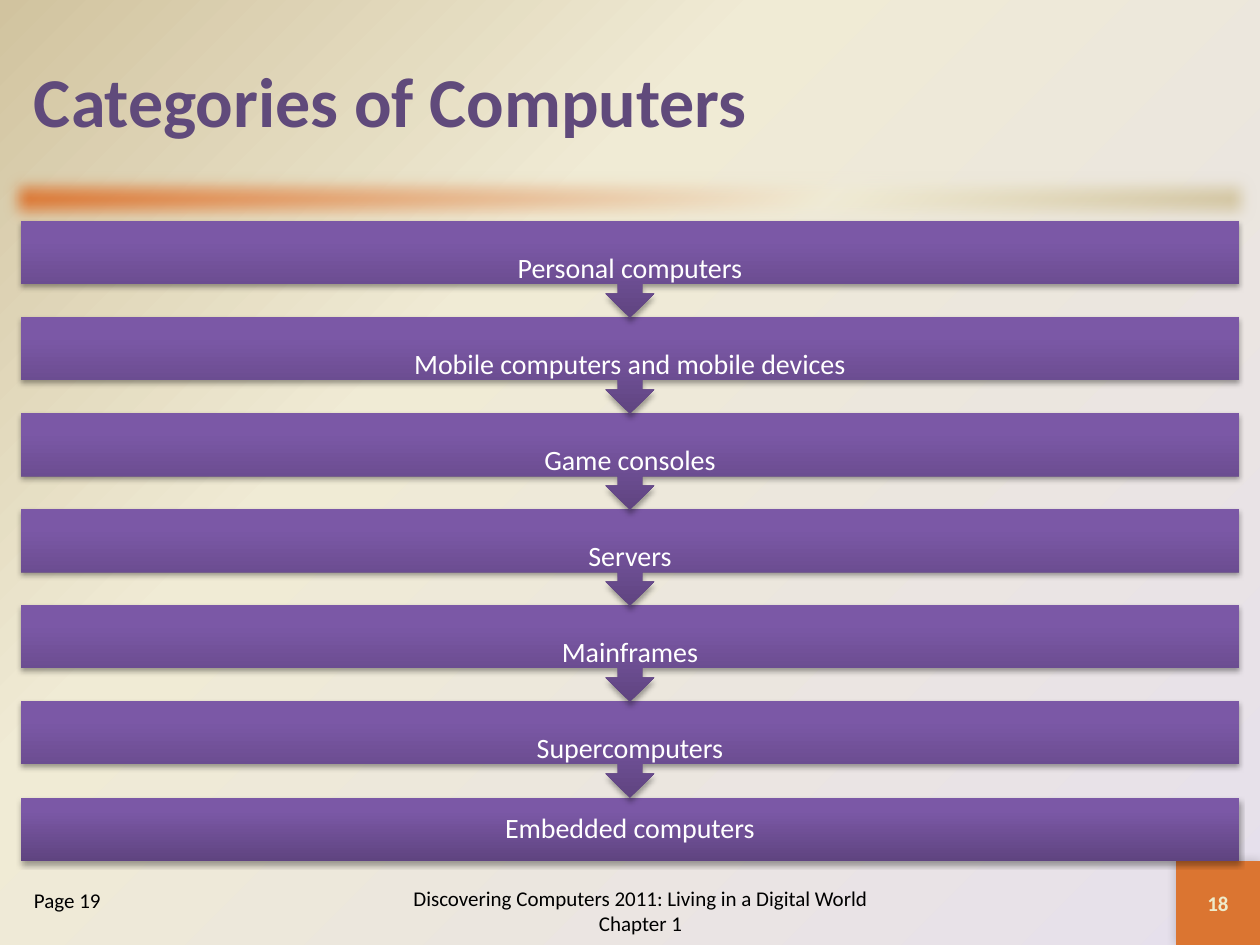
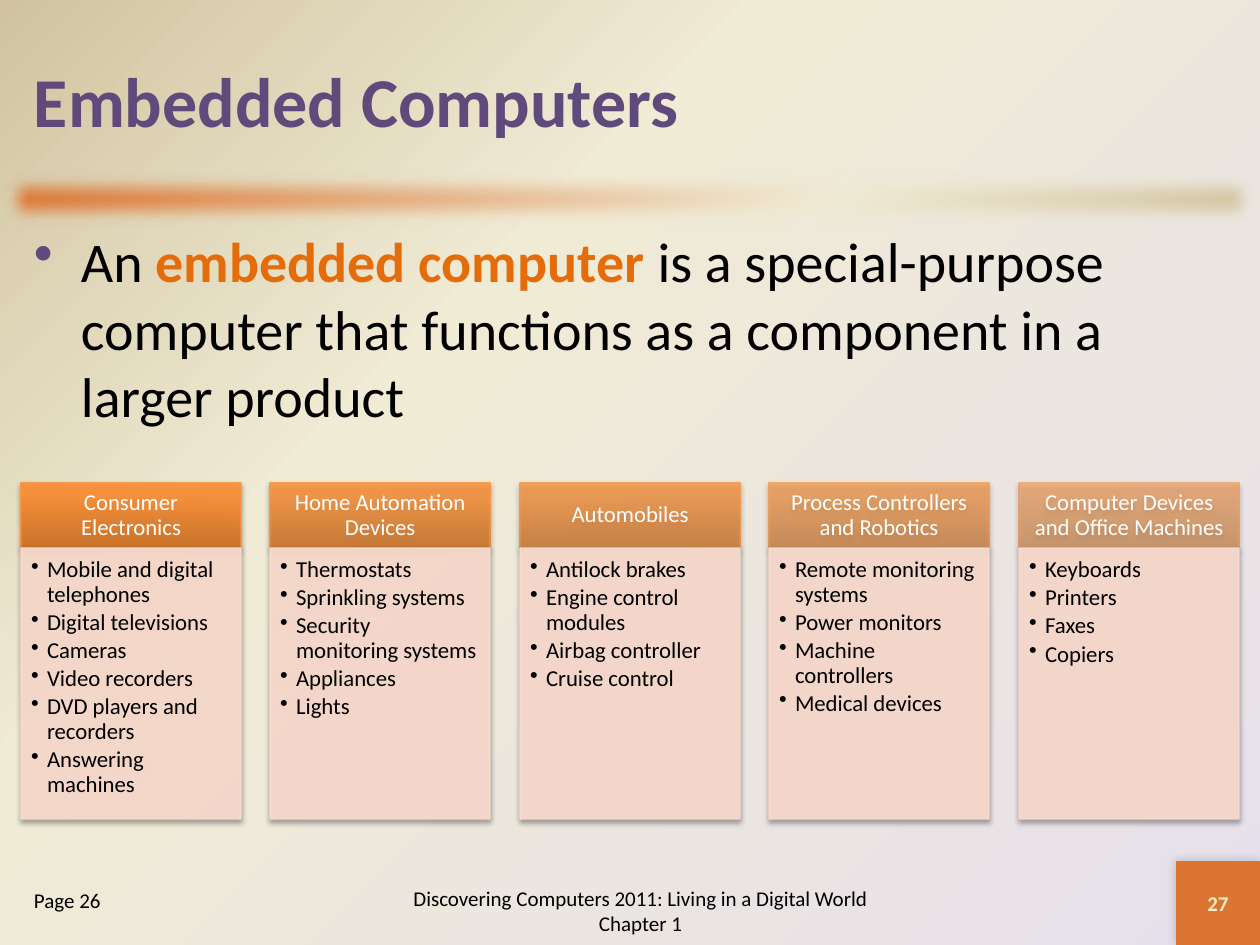
from lxml.etree import SubElement
from pptx import Presentation
from pptx.dml.color import RGBColor
from pptx.enum.shapes import MSO_SHAPE as Preset
from pptx.enum.text import MSO_ANCHOR as Anchor, PP_ALIGN as Align
from pptx.oxml import parse_xml
from pptx.oxml.ns import nsdecls, qn
from pptx.util import Pt

PX = 914400 / 126
COLORS = {
    "title": "604A7B", "text": "000000", "light": "FFFFFF", "accent": "E46C0A",
    "badge": "DB7531", "badge_text": "EEEBCA", "card": "FCDDCF", "card_edge": "F79646",
    "mist": "E6E0EC", "cream": "F0EBD5", "sand": "D1C39F",
    "bar_dark": "5F4480", "bar_mid": "7B58A6", "bar_light": "7C57A8",
    "head_dark": "CC6E20", "head_mid": "FF9034", "head_light": "FF9136",
}
CORNER = '<a:path path="circle"><a:fillToRect l="100000" t="100000"/></a:path>'
SLANTED = '<a:lin ang="2700000" scaled="0"/>'
UPWARD = '<a:lin ang="16200000" scaled="0"/>'
SOFT_EDGE = f'<a:softEdge {nsdecls("a")} rad="127000"/>'
SHADOW = (f'<a:outerShdw {nsdecls("a")} blurRad="%d" dist="%d" dir="%d" rotWithShape="0">'
          '<a:srgbClr val="000000"><a:alpha val="%d"/></a:srgbClr></a:outerShdw>')
BADGE_SHADOW = SHADOW % (76200, 0, 13500000, 20000)
BLOCK_SHADOW = SHADOW % (40000, 23000, 5400000, 35000)
FOOTER = "Discovering Computers 2011: Living in a Digital World Chapter 1"

categories = [
    "Personal computers", "Mobile computers and mobile devices", "Game consoles",
    "Servers", "Mainframes", "Supercomputers", "Embedded computers",
]
definition = ("An |embedded computer |is a special-purpose computer that functions "
              "as a component in a larger product")
products = {
    "Consumer Electronics": [
        "Mobile and digital telephones", "Digital televisions", "Cameras",
        "Video recorders", "DVD players and recorders", "Answering machines"],
    "Home Automation Devices": [
        "Thermostats", "Sprinkling systems", "Security monitoring systems",
        "Appliances", "Lights"],
    "Automobiles": [
        "Antilock brakes", "Engine control modules", "Airbag controller", "Cruise control"],
    "Process Controllers and Robotics": [
        "Remote monitoring systems", "Power monitors", "Machine controllers",
        "Medical devices"],
    "Computer Devices and Office Machines": ["Keyboards", "Printers", "Faxes", "Copiers"],
}


def paint(fill, names, middle, direction, opacity=100):
    stops = "".join(
        f'<a:gs pos="{position * 1000}"><a:srgbClr val="{COLORS[name]}">'
        f'<a:alpha val="{opacity * 1000}"/></a:srgbClr></a:gs>'
        for position, name in zip((0, middle, 100), names))
    fill.background()
    holder = fill._xPr
    holder.replace(holder.find(qn("a:noFill")), parse_xml(
        f'<a:gradFill {nsdecls("a")} rotWithShape="1"><a:gsLst>{stops}</a:gsLst>'
        f'{direction}</a:gradFill>'))


def write(shape, lines, size, color="text", bold=False, anchor=Anchor.TOP,
          margins=(13, 6, 13, 6), bullet=None, hang=0, **layout):
    frame = shape.text_frame
    frame.word_wrap = True
    frame.vertical_anchor = anchor
    for side, margin in zip(("left", "top", "right", "bottom"), margins):
        setattr(frame, f"margin_{side}", round(margin * PX))
    for number, line in enumerate(lines):
        paragraph = frame.add_paragraph() if number else frame.paragraphs[0]
        for name, value in {"alignment": Align.LEFT, **layout}.items():
            setattr(paragraph, name, value)
        if bullet:
            properties = paragraph._p.get_or_add_pPr()
            properties.set("marL", str(round(hang * PX)))
            properties.set("indent", str(round(-hang * PX)))
            tint = SubElement(properties, qn("a:buClr"))
            SubElement(tint, qn("a:srgbClr"), val=COLORS[bullet])
            SubElement(properties, qn("a:buChar"), char="•")
        for part, words in enumerate(line.split("|")):
            run = paragraph.add_run()
            run.text = words
            emphasis = part % 2 == 1
            for name, value in {"name": "Calibri", "size": Pt(size),
                                "bold": bold or emphasis}.items():
                setattr(run.font, name, value)
            run.font.color.rgb = RGBColor.from_string(COLORS["accent" if emphasis else color])


deck = Presentation()
deck.slide_width, deck.slide_height = round(1260 * PX), round(945 * PX)
effects = []
slides = []

for title, page, number in [("Categories of Computers", "Page 19", "18"),
                            ("Embedded Computers", "Page 26", "27")]:
    slide = deck.slides.add_slide(deck.slide_layouts[6])
    slides.append(slide)
    paint(slide.background.fill, ("mist", "cream", "sand"), 65, CORNER)

    band = slide.shapes.add_shape(Preset.RECTANGLE, *[round(v * PX) for v in (0, 168, 1260, 63)])
    paint(band.fill, ("badge", "cream", "sand"), 65, SLANTED)
    band.line.fill.background()
    effects.append((band, SOFT_EDGE))

    badge = slide.shapes.add_shape(Preset.RECTANGLE, *[round(v * PX) for v in (1176, 861, 84, 84)])
    badge.fill.solid()
    badge.fill.fore_color.rgb = RGBColor.from_string(COLORS["badge"])
    badge.line.fill.background()
    effects.append((badge, BADGE_SHADOW))
    write(badge, [number], 12, "badge_text", True, Anchor.MIDDLE, alignment=Align.CENTER)

    for words, place, style in [
        (title, (21, 21, 1218, 158),
         {"size": 40, "color": "title", "bold": True, "anchor": Anchor.MIDDLE}),
        (FOOTER, (378, 876, 525, 69),
         {"size": 12, "anchor": Anchor.MIDDLE, "alignment": Align.CENTER}),
        (page, (21, 882, 230, 63), {"size": 12}),
    ]:
        write(slide.shapes.add_textbox(*[round(v * PX) for v in place]), [words], **style)

category_slide, embedded_slide = slides

last = len(categories) - 1
for step in range(last, -1, -1):
    preset, height, drop = ((Preset.RECTANGLE, 63, 0) if step == last
                            else (Preset.DOWN_ARROW_CALLOUT, 97, 33))
    place = (21, 221 + step * 577 // 6, 1218, height)
    bar = category_slide.shapes.add_shape(preset, *[round(v * PX) for v in place])
    paint(bar.fill, ("bar_dark", "bar_mid", "bar_light"), 80, UPWARD)
    bar.line.fill.background()
    effects.append((bar, BLOCK_SHADOW))
    write(bar, [categories[step]], 16, "light", anchor=Anchor.MIDDLE,
          margins=(15, drop, 15, 0), alignment=Align.CENTER, line_spacing=0.9)

statement = embedded_slide.shapes.add_textbox(*[round(v * PX) for v in (21, 221, 1218, 240)])
write(statement, [definition], 32, bullet="title", hang=47)

for column, (group, examples) in enumerate(products.items()):
    left = 21 + column * 499 // 2
    opacity = 90 - 10 * column
    heading = embedded_slide.shapes.add_shape(
        Preset.RECTANGLE, *[round(v * PX) for v in (left, 483, 220, 65)])
    paint(heading.fill, ("head_dark", "head_mid", "head_light"), 80, UPWARD, opacity)
    write(heading, [group], 13, "light", anchor=Anchor.MIDDLE, margins=(13, 7, 13, 7),
          alignment=Align.CENTER, line_spacing=0.9)

    card = embedded_slide.shapes.add_shape(
        Preset.RECTANGLE, *[round(v * PX) for v in (left, 548, 220, 271)])
    write(card, examples, 13, margins=(10, 10, 13, 14), bullet="text", hang=16,
          line_spacing=0.9, space_after=Pt(2))

    for block in (heading, card):
        block.line.width = Pt(0.75)
        effects.append((block, BLOCK_SHADOW))
    for fill, color, strength in [(card.fill, "card", 90), (card.line.fill, "card", 90),
                                  (heading.line.fill, "card_edge", opacity)]:
        fill.solid()
        fill.fore_color.rgb = RGBColor.from_string(COLORS[color])
        tint = fill._xPr.find(qn("a:solidFill")).find(qn("a:srgbClr"))
        SubElement(tint, qn("a:alpha"), val=str(strength * 1000))

for shape, effect in effects:
    shape.shadow.inherit = False
    shape._element.spPr.find(qn("a:effectLst")).append(parse_xml(effect))

deck.save("out.pptx")
